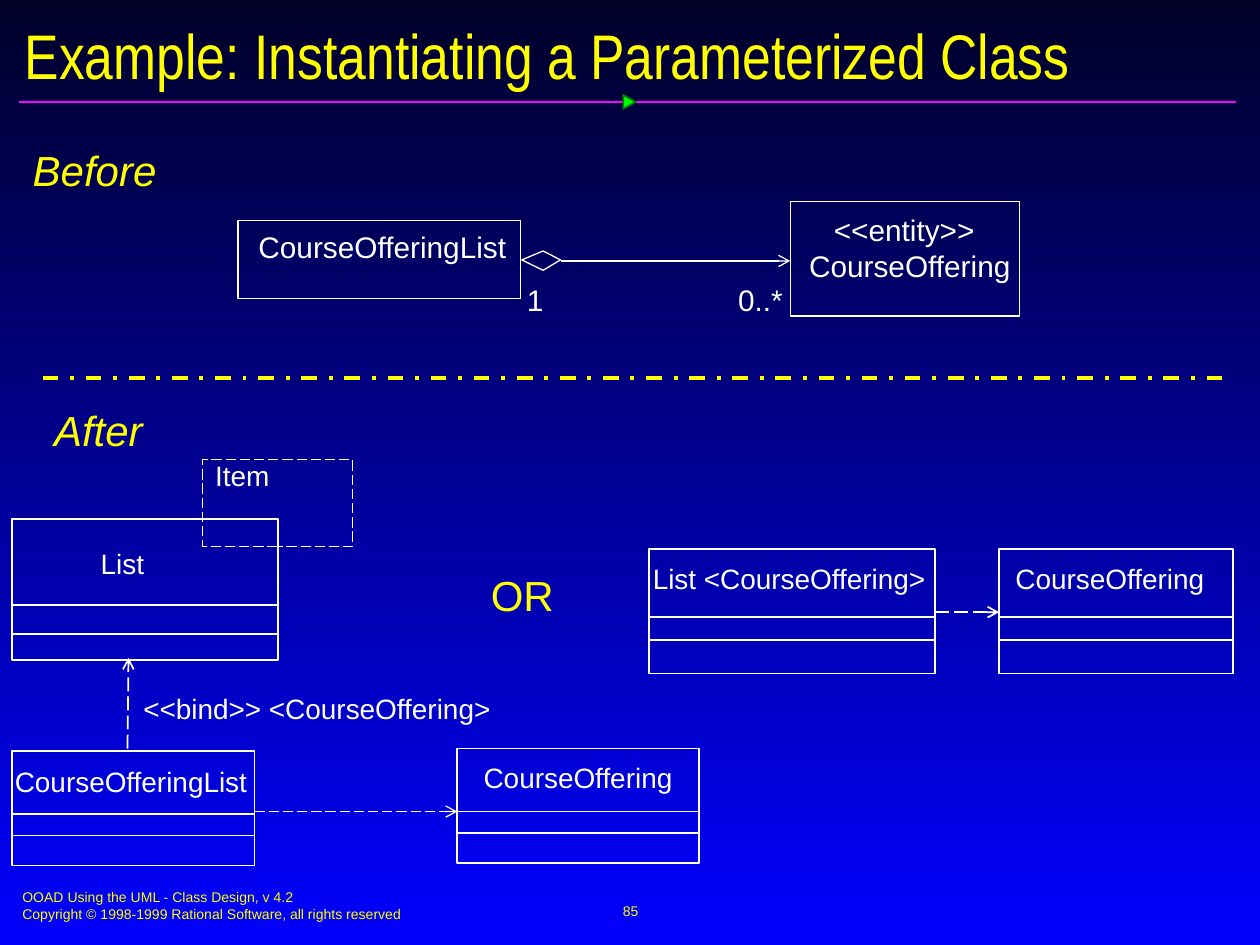
from lxml.etree import SubElement
from pptx import Presentation
from pptx.dml.color import RGBColor
from pptx.enum.dml import MSO_LINE as Dash
from pptx.enum.shapes import MSO_CONNECTOR as Connector, MSO_SHAPE as Shape
from pptx.enum.text import MSO_ANCHOR as Anchor, MSO_AUTO_SIZE as AutoSize, PP_ALIGN as Align
from pptx.oxml.ns import qn
from pptx.util import Cm, Pt

WHITE, YELLOW, MAGENTA = "FFFFFF", "FFFF00", "FF01FF"
GREEN, DARK_GREEN = "00FF00", "037C03"
NIGHT, BLUE = "000028", "0000FF"
NO_INSET, INSET, WIDE_INSET = (0, 0), (0.25, 0.13), (0.3, 0.15)


def color(code):
    return RGBColor.from_string(code)


def write(box, text, size=16, font="Arial", ink=WHITE, italic=False,
          align=Align.LEFT, anchor=Anchor.TOP, inset=NO_INSET, wrap=False):
    """Fill a text box, one paragraph for each line of the text."""
    frame = box.text_frame
    frame.word_wrap = wrap
    frame.vertical_anchor = anchor
    frame.auto_size = AutoSize.SHAPE_TO_FIT_TEXT if anchor == Anchor.TOP else AutoSize.NONE
    frame.margin_left = frame.margin_right = Cm(inset[0])
    frame.margin_top = frame.margin_bottom = Cm(inset[1])
    frame.text = text
    for para in frame.paragraphs:
        para.alignment = align
        for span in para.runs:
            span.font.name = font
            span.font.size = Pt(size)
            span.font.italic = italic
            span.font.color.rgb = color(ink)


class Diagram:
    """Holds the slide and draws UML elements on it; lengths are in centimetres."""

    def __init__(self, slide, ink=WHITE):
        self.slide = slide
        self.shapes = slide.shapes
        self.ink = ink

    def background(self, top, bottom):
        fill = self.slide.background.fill
        fill.gradient()
        fill.gradient_angle = 270
        for stop, position, code in zip(fill.gradient_stops, (0, 1), (top, bottom)):
            stop.position = position
            stop.color.rgb = color(code)

    def stroke(self, line, width, ink=None, dash=None):
        line.color.rgb = color(ink or self.ink)
        line.width = Pt(width)
        if dash:
            line.dash_style = dash

    def text(self, text, left, top, width, height=0.69, **style):
        box = self.shapes.add_textbox(Cm(left), Cm(top), Cm(width), Cm(height))
        write(box, text, **style)

    def shape(self, kind, left, top, width, height, weight=1, fill=None, ink=None, dash=None):
        shape = self.shapes.add_shape(kind, Cm(left), Cm(top), Cm(width), Cm(height))
        shape.shadow.inherit = False
        if fill:
            shape.fill.solid()
            shape.fill.fore_color.rgb = color(fill)
        else:
            shape.fill.background()
        self.stroke(shape.line, weight, ink, dash)
        return shape

    def line(self, x1, y1, x2, y2, weight=1, ink=None, dash=None, arrow=False):
        line = self.shapes.add_connector(Connector.STRAIGHT, Cm(x1), Cm(y1), Cm(x2), Cm(y2))
        self.stroke(line.line, weight, ink, dash)
        properties = line._element.spPr
        if arrow:
            SubElement(properties.find(qn("a:ln")), qn("a:tailEnd"), type="arrow")
        SubElement(properties, qn("a:effectLst"))

    def outline(self, points, weight=0):
        start, *rest = [(Cm(x), Cm(y)) for x, y in points]
        builder = self.shapes.build_freeform(*start, scale=1.0)
        builder.add_line_segments(rest, close=True)
        shape = builder.convert_to_shape()
        shape.shadow.inherit = False
        shape.fill.background()
        self.stroke(shape.line, weight)

    def uml_class(self, name, frame, label, rules):
        """Draw a class with three compartments; rules are offsets from its top."""
        left, top, width, _ = frame
        self.text(name, *label)
        self.shape(Shape.RECTANGLE, *frame)
        for offset in rules:
            self.line(left, top + offset, left + width, top + offset)


def draw_frame(diagram, title, footer, number):
    diagram.background(NIGHT, BLUE)
    diagram.line(0.38, 2.06, 24.92, 2.06, ink=MAGENTA)
    marker = diagram.shape(Shape.ISOSCELES_TRIANGLE, 12.55, 1.93, 0.28, 0.25,
                           fill=GREEN, ink=DARK_GREEN)
    marker.rotation = 90
    diagram.text(footer, 0.2, 17.78, 12.95, 0.94, size=8, ink=YELLOW, inset=INSET, wrap=True)
    diagram.text(number, 8.69, 17.73, 8.05, 1.27, size=8, ink=YELLOW, inset=INSET,
                 align=Align.CENTER, anchor=Anchor.MIDDLE)
    diagram.text(title, 0.25, 0.36, 24.99, 1.47, size=36, font="Arial Narrow", ink=YELLOW,
                 inset=INSET, anchor=Anchor.MIDDLE, wrap=True)


def draw_headings(diagram):
    heading = dict(size=24, ink=YELLOW, inset=WIDE_INSET, wrap=True)
    diagram.text("Before", 0.36, 2.77, 6.25, 1.32, italic=True, **heading)
    diagram.text("After", 0.79, 8, 6.25, 1.32, italic=True, **heading)
    diagram.text("OR", 9.22, 11.33, 2.62, 1.32, align=Align.CENTER, **heading)
    diagram.line(0.86, 7.62, 24.87, 7.62, weight=2.25, ink=YELLOW, dash=Dash.DASH_DOT)


def draw_before(diagram):
    diagram.shape(Shape.RECTANGLE, 4.8, 4.45, 5.69, 1.57, weight=0)
    diagram.shape(Shape.RECTANGLE, 15.93, 4.06, 4.62, 2.31, weight=0)
    for text, left, top, width in (
        ("CourseOfferingList", 5.21, 4.62, 5.05),
        ("<<entity>>", 16.81, 4.27, 3),
        ("CourseOffering", 16.31, 5, 4.15),
        ("1", 10.62, 5.69, 0.4),
        ("0..*", 14.88, 5.69, 0.95),
    ):
        diagram.text(text, left, top, width, 0.71, size=17)
    diagram.outline([(10.52, 5.24), (10.95, 5.45), (11.3, 5.24), (10.95, 5.06)])
    diagram.line(11.3, 5.26, 15.93, 5.26, weight=0.75, arrow=True)


def draw_after(diagram):
    small, medium, large = (1.27, 1.7), (1.37, 1.83), (1.74, 2.32)
    for name, frame, label, rules in (
        ("List", (0.25, 10.46, 5.36, 2.84), (2.03, 11.02, 0.95), large),
        ("CourseOfferingList", (0.25, 15.14, 4.88, 2.31), (0.3, 15.42, 4.75), small),
        ("CourseOffering", (9.22, 15.09, 4.88, 2.31), (9.75, 15.34, 3.9), small),
        ("List <CourseOffering>", (13.08, 11.07, 5.77, 2.51), (13.16, 11.33, 5.6), medium),
        ("CourseOffering", (20.14, 11.07, 4.72, 2.51), (20.47, 11.33, 3.9), medium),
    ):
        diagram.uml_class(name, frame, label, rules)

    diagram.shape(Shape.RECTANGLE, 4.09, 9.27, 3.02, 1.75, weight=0.75, dash=Dash.LONG_DASH)
    diagram.text("Item", 4.09, 9.12, 4.39, 0.94, inset=INSET, wrap=True)
    diagram.text("<<bind>> <CourseOffering>", 2.64, 13.82, 7.6, 0.94, inset=INSET)
    for ends, weight in (
        ((2.57, 15.09, 2.59, 13.26), 1),
        ((5.13, 16.36, 9.22, 16.36), 0.75),
        ((18.85, 12.34, 20.14, 12.34), 1),
    ):
        diagram.line(*ends, weight=weight, dash=Dash.LONG_DASH, arrow=True)


def main():
    deck = Presentation()
    deck.slide_width, deck.slide_height = Cm(25.4), Cm(19.05)
    diagram = Diagram(deck.slides.add_slide(deck.slide_layouts[6]))
    draw_frame(
        diagram,
        title="Example: Instantiating a Parameterized Class",
        footer="OOAD Using the UML - Class Design, v 4.2\n"
               "Copyright © 1998-1999 Rational Software, all rights reserved",
        number="85",
    )
    draw_headings(diagram)
    draw_before(diagram)
    draw_after(diagram)
    deck.save("out.pptx")


if __name__ == "__main__":
    main()
